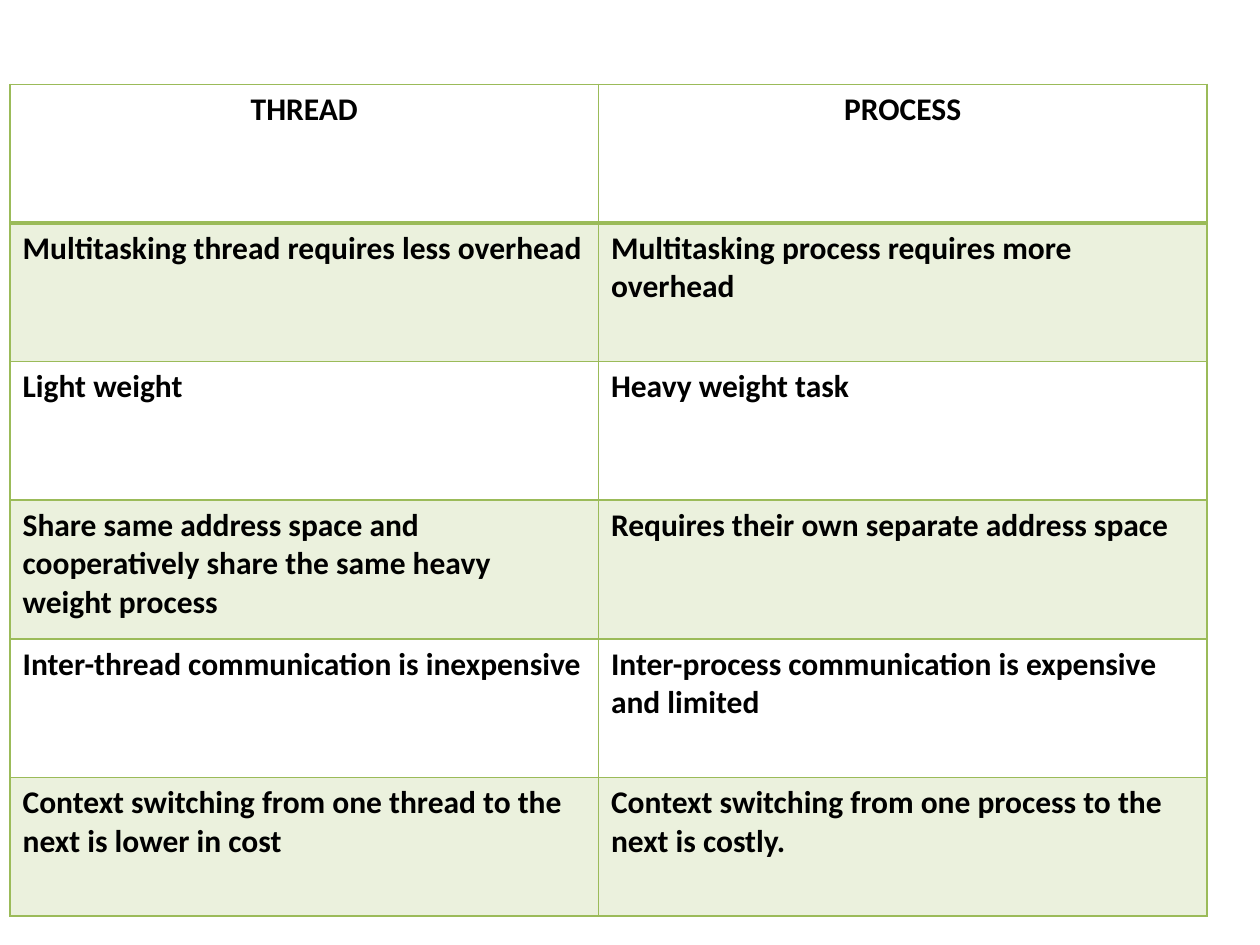
from dataclasses import dataclass

from lxml.etree import SubElement
from pptx import Presentation
from pptx.dml.color import RGBColor
from pptx.enum.text import PP_ALIGN
from pptx.oxml import parse_xml
from pptx.oxml.ns import nsdecls, qn
from pptx.util import Emu, Pt

EMU_PER_PX = 9144
COLORS = {"green": "9BBB59", "text": "000000"}
FONT = "Calibri"
BAND_OPACITY = 20
COLUMN_WIDTHS = [467, 483]
ROW_HEIGHT = 110


@dataclass
class Comparison:
    thread: str
    process: str


COMPARISONS = [
    Comparison("THREAD", "PROCESS"),
    Comparison("Multitasking thread requires less overhead",
               "Multitasking process requires more overhead"),
    Comparison("Light weight", "Heavy weight task"),
    Comparison("Share same address space and cooperatively share the same heavy weight process",
               "Requires their own separate address space"),
    Comparison("Inter-thread communication is inexpensive",
               "Inter-process communication is expensive and limited"),
    Comparison("Context switching from one thread to the next is lower in cost",
               "Context switching from one process to the next is costly."),
]


def px(length: int) -> Emu:
    return Emu(length * EMU_PER_PX)


def set_fill(cell, banded: bool) -> None:
    if not banded:
        cell.fill.background()
        return
    cell.fill.solid()
    cell.fill.fore_color.rgb = RGBColor.from_string(COLORS["green"])
    color = cell._tc.tcPr.find(".//" + qn("a:srgbClr"))
    SubElement(color, qn("a:alpha")).set("val", str(BAND_OPACITY * 1000))


def set_borders(cell, top: int, bottom: int) -> None:
    widths = {"lnL": 1, "lnR": 1, "lnT": top, "lnB": bottom}
    for position, (side, width) in enumerate(widths.items()):
        border = parse_xml(
            f'<a:{side} {nsdecls("a")} w="{Pt(width)}"><a:solidFill>'
            f'<a:srgbClr val="{COLORS["green"]}"/></a:solidFill></a:{side}>'
        )
        cell._tc.tcPr.insert(position, border)


def write_cell(cell, text: str, row: int) -> None:
    cell.text_frame.text = text
    paragraph = cell.text_frame.paragraphs[0]
    paragraph.alignment = PP_ALIGN.CENTER if row == 0 else PP_ALIGN.LEFT
    font = paragraph.runs[0].font
    font.name = FONT
    font.size = Pt(18)
    font.bold = True
    font.color.rgb = RGBColor.from_string(COLORS["text"])
    set_fill(cell, banded=row % 2 == 1)
    set_borders(cell, top=2 if row == 1 else 1, bottom=2 if row == 0 else 1)


def add_comparison_table(slide, left: int, top: int) -> None:
    shape = slide.shapes.add_table(
        len(COMPARISONS), len(COLUMN_WIDTHS), px(left), px(top),
        px(sum(COLUMN_WIDTHS)), px(ROW_HEIGHT * len(COMPARISONS)),
    )
    table = shape.table
    table.first_row = False
    table.horz_banding = False
    for column, width in zip(table.columns, COLUMN_WIDTHS):
        column.width = px(width)
    for row, comparison in enumerate(COMPARISONS):
        table.rows[row].height = px(ROW_HEIGHT)
        write_cell(table.cell(row, 0), comparison.thread, row)
        write_cell(table.cell(row, 1), comparison.process, row)


def main() -> None:
    presentation = Presentation()
    presentation.slide_width = px(1000)
    presentation.slide_height = px(750)
    slide = presentation.slides.add_slide(presentation.slide_layouts[6])
    add_comparison_table(slide, left=8, top=67)
    presentation.save("out.pptx")


if __name__ == "__main__":
    main()
